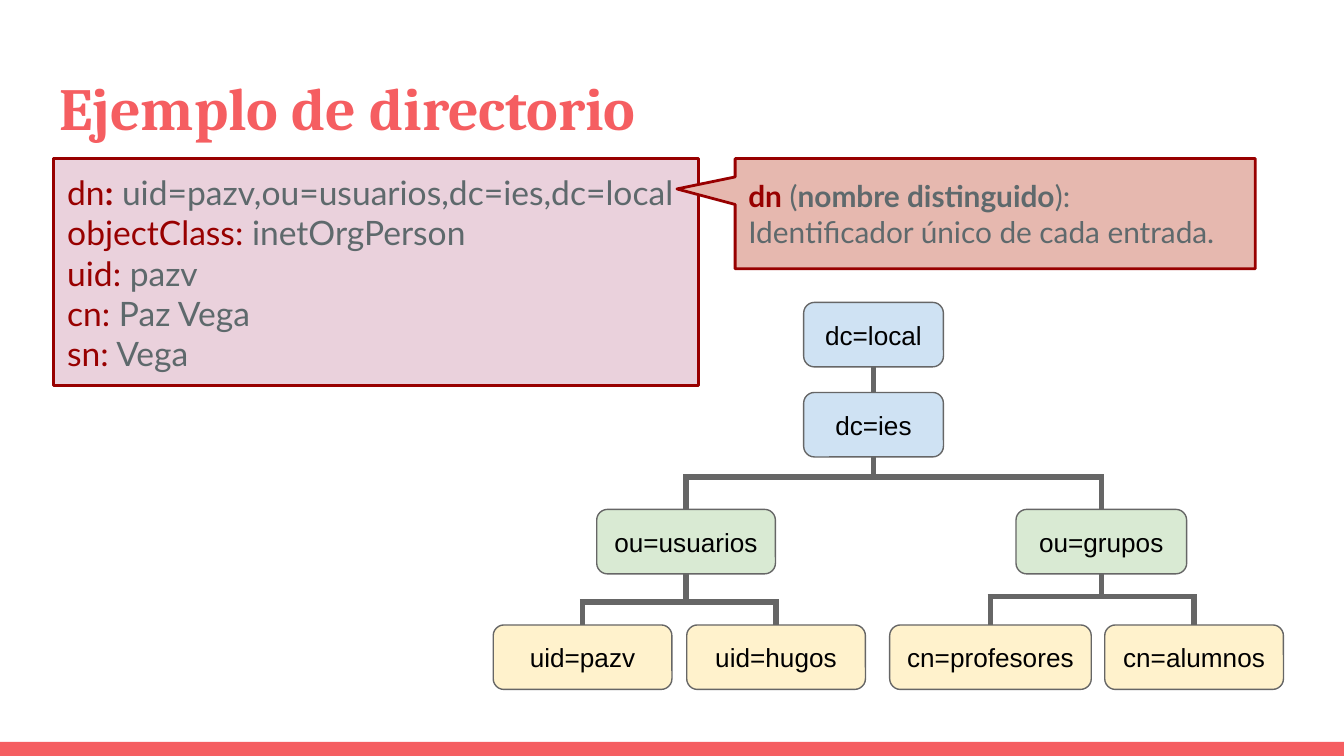
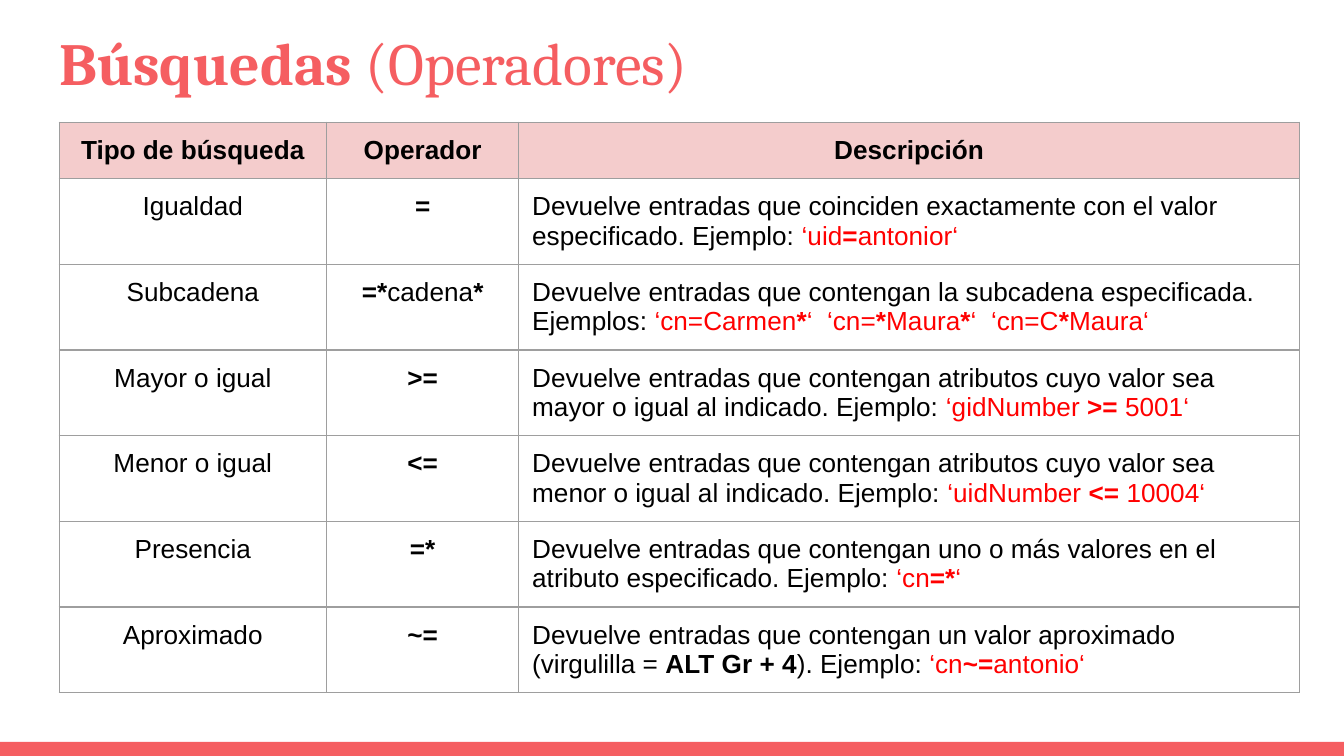
from itertools import cycle

from lxml import etree
from pptx import Presentation
from pptx import util as u
from pptx.dml.color import RGBColor
from pptx.enum import shapes, text
from pptx.oxml.ns import qn

CORAL, DARK_RED, SLATE, GRAY = "F55E61", "980000", "5E696C", "666666"
BLUE, GREEN, YELLOW = "CFE2F3", "D9EAD3", "FFF2CC"
BOLD = {"bold": True}
KEY = {"color": DARK_RED}
CENTER, LEFT = text.PP_ALIGN.CENTER, text.PP_ALIGN.LEFT
TOP, MIDDLE = text.MSO_ANCHOR.TOP, text.MSO_ANCHOR.MIDDLE


def rgb(value):
    return RGBColor.from_string(value)


def write(holder, paragraphs, font="Arial", size=14, color="000000", bold=False,
          align=LEFT, anchor=TOP, unbulleted=False):
    frame = getattr(holder, "text_frame", holder)
    for side in ("left", "top", "right", "bottom"):
        setattr(holder, f"margin_{side}", u.Inches(0.1))
    holder.vertical_anchor = anchor
    for index, runs in enumerate(paragraphs):
        paragraph = frame.add_paragraph() if index else frame.paragraphs[0]
        if unbulleted:
            properties = paragraph._p.get_or_add_pPr()
            properties.set("marL", "0")
            properties.set("indent", "0")
            etree.SubElement(properties, qn("a:buNone"))
        paragraph.alignment = align
        paragraph.space_before = u.Pt(0)
        for part in runs:
            if part == "\n":
                paragraph.add_line_break()
                etree.SubElement(paragraph._p[-1], qn("a:rPr"), sz=str(size * 100))
                continue
            words, changes = (part, {}) if isinstance(part, str) else part
            look = {"color": color, "bold": bold, **changes}
            run = paragraph.add_run()
            run.text = words
            run.font.name = font
            run.font.size = u.Pt(size)
            run.font.bold = look["bold"]
            run.font.color.rgb = rgb(look["color"])


def example(*parts):
    weights = cycle((False, True))
    return [(part, {"color": "FF0000", "bold": next(weights)}) for part in parts]


class Deck:
    def __init__(self):
        self.prs = Presentation()
        self.prs.slide_width = u.Inches(10)
        self.prs.slide_height = u.Inches(10) * 9 // 16
        self.slide = None

    def start(self, layout, title, title_top):
        self.slide = self.prs.slides.add_slide(self.prs.slide_layouts[layout])
        self.shape(shapes.MSO_SHAPE.RECTANGLE, 0, 5.52, 10, 0.11, CORAL)
        heading = self.slide.shapes.title
        self.place(heading, 0.34, title_top, 9.32, 0.68)
        write(heading.text_frame, [title], "Cambria", 32, CORAL, bold=True)

    def place(self, holder, left, top, width, height):
        holder.left, holder.top = u.Inches(left), u.Inches(top)
        holder.width, holder.height = u.Inches(width), u.Inches(height)
        holder.text_frame.word_wrap = True
        holder.text_frame.auto_size = text.MSO_AUTO_SIZE.NONE

    def paint(self, shape, fill, line=None, weight=0.75):
        shape.fill.solid()
        shape.fill.fore_color.rgb = rgb(fill)
        if line:
            shape.line.color.rgb = rgb(line)
            shape.line.width = u.Pt(weight)
        else:
            shape.line.fill.background()

    def shape(self, kind, left, top, width, height, fill, line=None, weight=0.75):
        shape = self.slide.shapes.add_shape(
            kind, *map(u.Inches, (left, top, width, height)))
        shape.shadow.inherit = False
        shape.text_frame.word_wrap = True
        self.paint(shape, fill, line, weight)
        return shape

    def body(self, left, top, width, height, paragraphs):
        body = self.slide.placeholders[1]
        self.place(body, left, top, width, height)
        self.paint(body, "EAD1DC", DARK_RED, 1.5)
        write(body.text_frame, paragraphs, "Lato", 18, SLATE, unbulleted=True)

    def callout(self, left, top, width, height, tip, paragraphs):
        callout = self.shape(shapes.MSO_SHAPE.ROUNDED_RECTANGULAR_CALLOUT,
                             left, top, width, height, "E6B8AF", DARK_RED, 1.5)
        for index, value in enumerate((*tip, 0)):
            callout.adjustments[index] = value
        write(callout.text_frame, paragraphs, "Lato", 16, SLATE, anchor=MIDDLE)

    def node(self, label, left, top, width, fill):
        node = self.shape(shapes.MSO_SHAPE.FLOWCHART_ALTERNATE_PROCESS,
                          left, top, width, 0.48, fill, GRAY)
        write(node.text_frame, [[label]], align=CENTER, anchor=MIDDLE)
        return node

    def line(self, x1, y1, x2, y2, parent=None, child=None):
        line = self.slide.shapes.add_connector(
            shapes.MSO_CONNECTOR.STRAIGHT, x1, y1, x2, y2)
        line.line.color.rgb = rgb(GRAY)
        line.line.width = u.Pt(3)
        etree.SubElement(line._element.spPr, qn("a:effectLst"))
        if parent is not None:
            line.begin_connect(parent, 2)
        if child is not None:
            line.end_connect(child, 0)

    def branch(self, parent, children, level):
        bus = u.Inches(level)
        stem = parent.left + parent.width // 2
        centers = [child.left + child.width // 2 for child in children]
        corner = u.Pt(1.5)
        self.line(stem, parent.top + parent.height, stem, bus, parent=parent)
        self.line(centers[0] - corner, bus, centers[-1] + corner, bus)
        for center, child in zip(centers, children):
            self.line(center, bus, center, child.top, child=child)

    def border(self, cell):
        properties = cell._tc.get_or_add_tcPr()
        for side in ("lnL", "lnR", "lnT", "lnB"):
            edge = etree.SubElement(properties, qn(f"a:{side}"), w=str(u.Pt(0.75)))
            fill = etree.SubElement(edge, qn("a:solidFill"))
            etree.SubElement(fill, qn("a:srgbClr"), val="9E9E9E")

    def table(self, left, top, widths, row_height, rows):
        table = self.slide.shapes.add_table(
            len(rows), len(widths), u.Inches(left), u.Inches(top),
            u.Inches(sum(widths)), u.Inches(row_height * len(rows))).table
        table.horz_banding = False
        for column, width in zip(table.columns, widths):
            column.width = u.Inches(width)
        for r, row in enumerate(rows):
            table.rows[r].height = u.Inches(row_height)
            for c, runs in enumerate(row):
                cell = table.cell(r, c)
                self.border(cell)
                if r == 0:
                    cell.fill.solid()
                    cell.fill.fore_color.rgb = rgb("F4CCCC")
                else:
                    cell.fill.background()
                write(cell, [runs], bold=r == 0,
                      align=CENTER if r == 0 or c < 2 else LEFT)


def directory_slide(deck):
    deck.start(1, ["Ejemplo de directorio"], 0.43)
    attributes = [("objectClass:", " inetOrgPerson"), ("uid:", " pazv"),
                  ("cn:", " Paz Vega"), ("sn:", " Vega")]
    entry = [[("dn", KEY), (":", {**KEY, **BOLD}),
              " uid=pazv,ou=usuarios,dc=ies,dc=local"]]
    entry += [[(name, KEY), value] for name, value in attributes]
    deck.body(0.4, 1.18, 4.8, 1.69, entry)

    root = deck.node("dc=local", 5.98, 2.25, 1.04, BLUE)
    school = deck.node("dc=ies", 5.98, 2.92, 1.04, BLUE)
    users = deck.node("ou=usuarios", 4.44, 3.79, 1.33, GREEN)
    groups = deck.node("ou=grupos", 7.56, 3.79, 1.27, GREEN)
    people = [deck.node("uid=pazv", 3.67, 4.65, 1.33, YELLOW),
              deck.node("uid=hugos", 5.11, 4.65, 1.33, YELLOW)]
    teams = [deck.node("cn=profesores", 6.62, 4.65, 1.5, YELLOW),
             deck.node("cn=alumnos", 8.22, 4.65, 1.33, YELLOW)]
    deck.line(0, 0, 0, 0, parent=root, child=school)
    deck.branch(school, [users, groups], 3.55)
    deck.branch(users, people, 4.48)
    deck.branch(groups, teams, 4.44)

    deck.callout(5.47, 1.18, 3.87, 0.82, (-0.612, -0.224), [
        [("dn", {**KEY, **BOLD}), " (", ("nombre distinguido", BOLD), "):",
         "\n", "Identificador único de cada entrada."]])


def operators_slide(deck):
    deck.start(5, ["Búsquedas ", ("(Operadores)", {"bold": False})], 0.09)
    returns = "Devuelve entradas que "
    searches = [
        ("Igualdad", [("=", BOLD)],
         [returns + "coinciden exactamente con el valor especificado. Ejemplo: ",
          *example("‘uid", "=", "antonior‘")]),
        ("Subcadena", [("=*", BOLD), "cadena", ("*", BOLD)],
         [returns + "contengan la subcadena especificada. Ejemplos: ",
          *example("‘cn=Carmen", "*", "‘  ‘cn=", "*", "Maura", "*",
                   "‘  ‘cn=C", "*", "Maura‘")]),
        ("Mayor o igual", [(">=", BOLD)],
         [returns + "contengan atributos cuyo valor sea mayor o igual al indicado. Ejemplo: ",
          *example("‘gidNumber ", ">=", " 5001‘")]),
        ("Menor o igual", [("<=", BOLD)],
         [returns + "contengan atributos cuyo valor sea menor o igual al indicado. Ejemplo: ",
          *example("‘uidNumber ", "<=", " 10004‘")]),
        ("Presencia", [("=*", BOLD)],
         [returns + "contengan uno o más valores en el atributo especificado. Ejemplo: ",
          *example("‘cn", "=*", "‘")]),
        ("Aproximado", [("~=", BOLD)],
         [returns + "contengan un valor aproximado (virgulilla = ",
          ("ALT Gr + 4", BOLD), "). Ejemplo: ",
          *example("‘cn", "~=", "antonio‘")]),
    ]
    header = [["Tipo de búsqueda"], ["Operador"], ["Descripción"]]
    rows = [header] + [[[kind], operator, description]
                       for kind, operator, description in searches]
    deck.table(0.44, 0.91, (1.99, 1.43, 5.81), 0.42, rows)


def main():
    deck = Deck()
    directory_slide(deck)
    operators_slide(deck)
    deck.prs.save("out.pptx")


if __name__ == "__main__":
    main()
